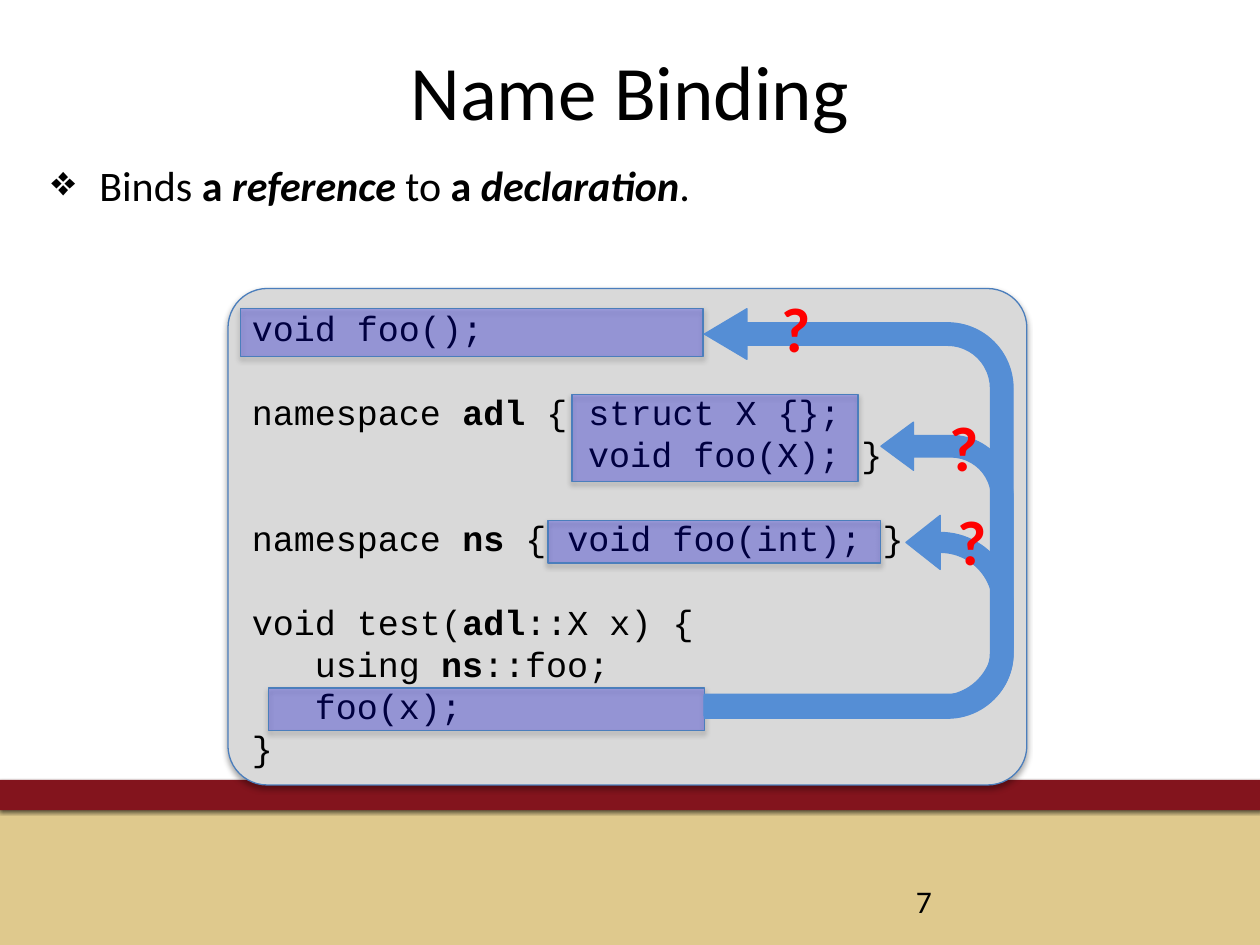
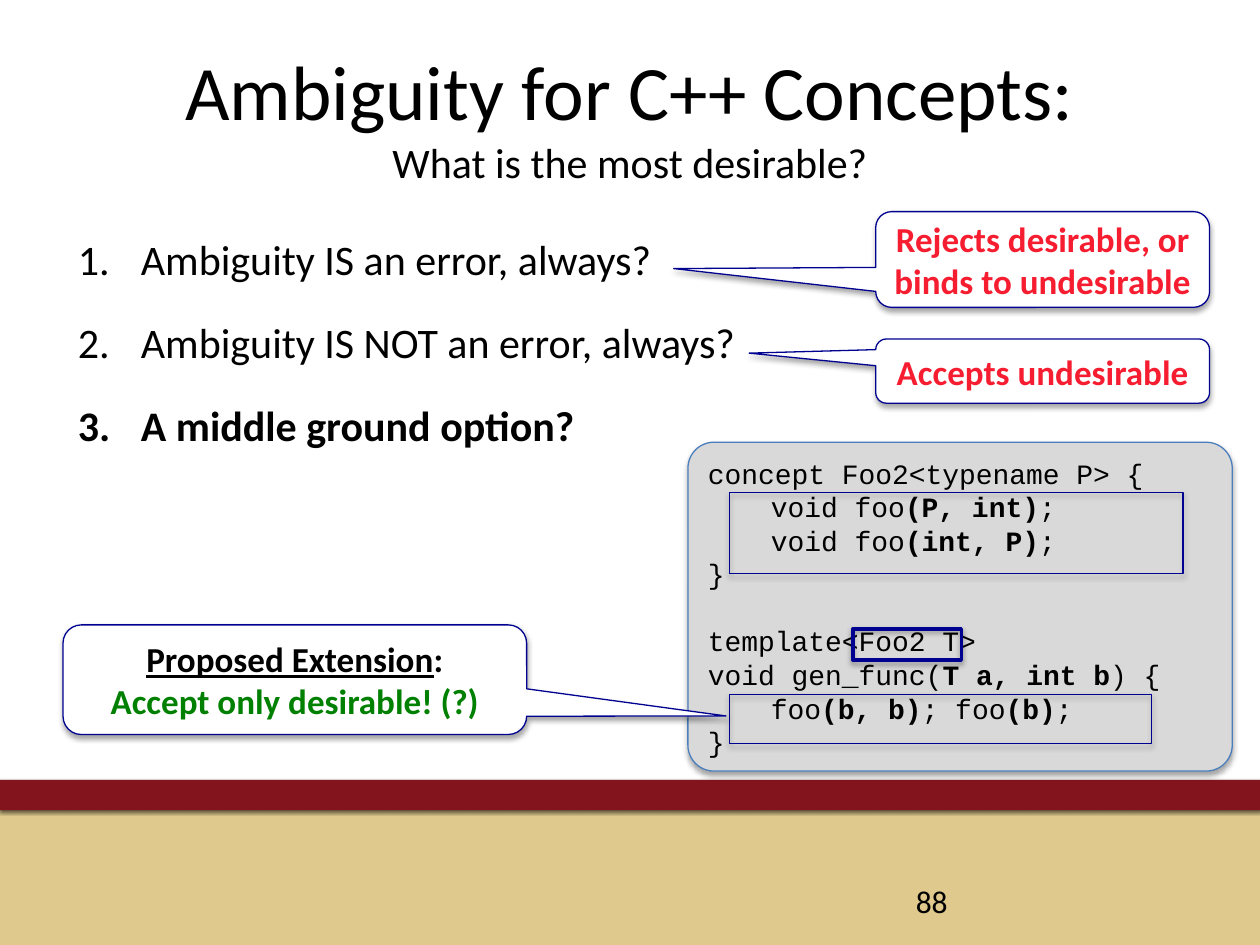
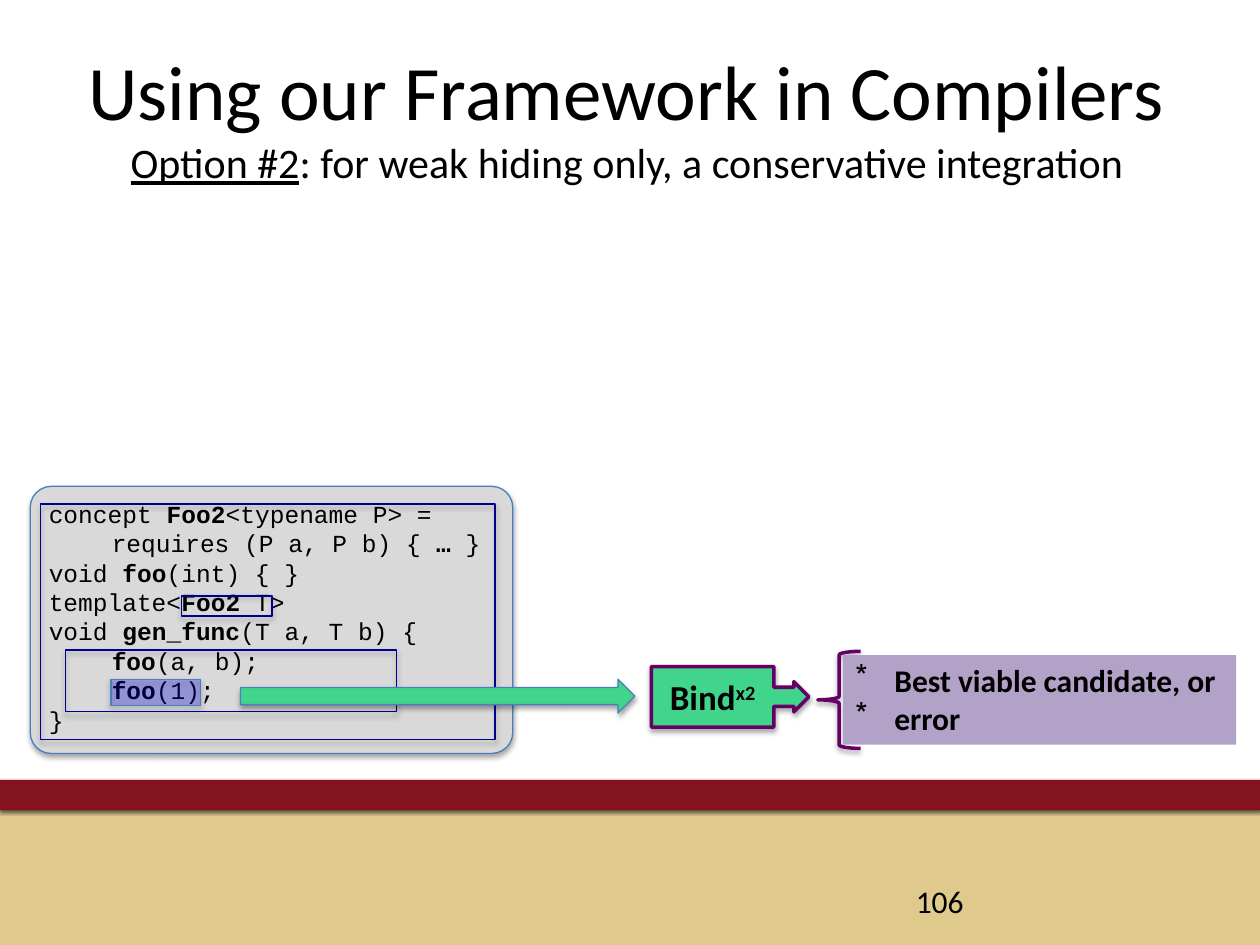
from lxml.etree import SubElement
from pptx import Presentation
from pptx.dml.color import RGBColor
from pptx.enum.shapes import MSO_SHAPE
from pptx.enum.text import MSO_ANCHOR, PP_ALIGN
from pptx.oxml.ns import qn
from pptx.util import Pt

EMU_PER_PX = 9144
COLORS = {
    "black": "000000", "white": "FFFFFF", "sand": "DFC98D", "maroon": "83141D",
    "panel": "D9D9D9", "panel_edge": "4B7EBC", "highlight": "0000FF",
    "arrow": "558ED5", "question": "FF0000", "navy": "000090",
    "warning": "F61D31", "approval": "008000", "bind": "40D58B",
    "plum": "660066", "lilac": "B3A2C7",
}
SOFT_SHADOW = (35, 3.1, 1.8, 90)
BAND_SHADOW = (60, 2, 1, 105)


def px(length):
    return round(length * EMU_PER_PX)


def rgb(color):
    return RGBColor.from_string(COLORS[color])


def add_run(paragraph, text, size=24, font="Calibri", color="black", bold=False,
            italic=False, underline=False, raised=False):
    run = paragraph.add_run()
    run.text = text
    run.font.size = Pt(size)
    run.font.name = font
    run.font.color.rgb = rgb(color)
    run.font.bold = bold
    run.font.italic = italic
    run.font.underline = underline
    if raised:
        run.font._element.set("baseline", "30000")


def add_bullet(paragraph, bullet, indent):
    props = paragraph._p.get_or_add_pPr()
    props.set("marL", str(px(indent)))
    props.set("indent", str(-px(indent)))
    if bullet == "1.":
        SubElement(props, qn("a:buAutoNum"), type="arabicPeriod")
    else:
        SubElement(props, qn("a:buChar"), char=bullet)


def add_tab(paragraph, position):
    tabs = SubElement(paragraph._p.get_or_add_pPr(), qn("a:tabLst"))
    SubElement(tabs, qn("a:tab"), pos=str(px(position)), algn="l")


def write(shape, lines, align=PP_ALIGN.LEFT, anchor=MSO_ANCHOR.TOP, bullet=None,
          indent=0, tab=0, leading=None, gap=0, **style):
    frame = shape.text_frame
    frame.word_wrap = True
    frame.vertical_anchor = anchor
    paragraph, space = None, 0
    for pieces in lines:
        if not pieces:
            space = leading
            continue
        paragraph = frame.add_paragraph() if paragraph else frame.paragraphs[0]
        if bullet:
            add_bullet(paragraph, bullet, indent)
        if tab:
            add_tab(paragraph, tab)
        paragraph.alignment = align
        if leading:
            paragraph.line_spacing = Pt(leading)
        paragraph.space_before = Pt(space)
        space = gap
        for text, override in pieces:
            add_run(paragraph, text, **{**style, **override})


def plain(text, **override):
    return [(text, override)]


def code_line(line):
    parts = enumerate(line.split("**"))
    return [(part, {"bold": index % 2 == 1}) for index, part in parts if part]


class Deck:
    def __init__(self):
        self.presentation = Presentation()
        self.presentation.slide_width = px(1000)
        self.presentation.slide_height = px(750)
        self.slide = None

    def shape(self, kind, box, fill=None, line=None, weight=0.75, shadow=None,
              alpha=None, adjust=()):
        shape = self.slide.shapes.add_shape(kind, *map(px, box))
        for index, value in enumerate(adjust):
            shape.adjustments[index] = value
        if fill:
            shape.fill.solid()
            shape.fill.fore_color.rgb = rgb(fill)
        else:
            shape.fill.background()
        if line:
            shape.line.color.rgb = rgb(line)
            shape.line.width = Pt(weight)
        else:
            shape.line.fill.background()
        shape.shadow.inherit = False
        props = shape._element.spPr
        if alpha:
            solid = props.find(qn("a:solidFill"))
            SubElement(solid[0], qn("a:alpha"), val=str(alpha * 1000))
        if shadow:
            opacity, blur, distance, angle = shadow
            outer = SubElement(
                props.find(qn("a:effectLst")), qn("a:outerShdw"),
                blurRad=str(Pt(blur)), dist=str(Pt(distance)),
                dir=str(angle * 60000), rotWithShape="0")
            tint = SubElement(outer, qn("a:srgbClr"), val=COLORS["black"])
            SubElement(tint, qn("a:alpha"), val=str(opacity * 1000))
        return shape

    def text(self, box, lines, **style):
        write(self.slide.shapes.add_textbox(*map(px, box)), lines, **style)

    def start(self, title, number, subtitle=None, box=(50, 30, 900, 125)):
        layout = self.presentation.slide_layouts[6]
        self.slide = self.presentation.slides.add_slide(layout)
        self.shape(MSO_SHAPE.RECTANGLE, (0, 643, 1000, 107), "sand")
        self.shape(MSO_SHAPE.RECTANGLE, (0, 619, 1001, 24), "maroon", shadow=BAND_SHADOW)
        self.text(box, [plain(title, size=44), subtitle], align=PP_ALIGN.CENTER)
        self.text((717, 695, 233, 40), [plain(number)], size=18,
                  anchor=MSO_ANCHOR.MIDDLE)

    def code(self, box, source, size):
        panel = self.shape(MSO_SHAPE.ROUNDED_RECTANGLE, box, "panel", "panel_edge",
                           shadow=SOFT_SHADOW, adjust=[0.079])
        write(panel, [code_line(line) for line in source.splitlines()],
              size=size, font="Courier New", tab=50, leading=size * 1.2)

    def highlight(self, *box):
        self.shape(MSO_SHAPE.RECTANGLE, box, "highlight", "panel_edge",
                   shadow=SOFT_SHADOW, alpha=25)

    def outline(self, *box, weight=0.75):
        self.shape(MSO_SHAPE.RECTANGLE, box, line="navy", weight=weight,
                   shadow=SOFT_SHADOW)

    def return_arrow(self, box, adjust):
        arrow = self.shape(MSO_SHAPE.U_TURN_ARROW, box, "arrow", "arrow", adjust=adjust)
        arrow.rotation = 90
        arrow._element.spPr.find(qn("a:xfrm")).set("flipH", "1")

    def callout(self, box, pointer, lines, **style):
        bubble = self.shape(MSO_SHAPE.ROUNDED_RECTANGULAR_CALLOUT, box, "white", "navy",
                            shadow=SOFT_SHADOW, adjust=[*pointer, 0.167])
        write(bubble, lines, align=PP_ALIGN.CENTER, anchor=MSO_ANCHOR.MIDDLE,
              size=20, bold=True, **style)


NAME_BINDING_CODE = """void foo();

namespace **adl** { struct X {};
                void foo(X); }

namespace **ns** { void foo(int); }

void test(**adl**::X x) {
\tusing **ns**::foo;
\tfoo(x);
}"""

AMBIGUITY_CODE = """concept Foo2<typename P> {
\tvoid foo**(P, int)**;
\tvoid foo**(int, P)**;
}

template<Foo2 T>
void gen_func(**T a, int b**) {
\tfoo**(b, b)**; foo**(b)**;
}"""

FRAMEWORK_CODE = """concept **Foo2**<typename P> =
\trequires (P a, P b) { **…** }
void **foo**(int) { }
template<**Foo2 **T>
void **gen_func**(T a, T b) {
\t**foo**(a, b);
\t**foo**(1);
}"""


def name_binding(deck):
    deck.start("Name Binding", "7")
    strong = {"bold": True}
    term = {"bold": True, "italic": True}
    deck.text((31, 122, 937, 60),
              [[("Binds ", {}), ("a ", strong), ("reference ", term), ("to ", {}),
                ("a ", strong), ("declaration", term), (".", {})]],
              bullet="❖", indent=38)
    deck.code((181, 229, 634, 394), NAME_BINDING_CODE, 20)
    deck.highlight(191, 245, 367, 38)
    deck.highlight(213, 546, 346, 34)
    deck.highlight(435, 413, 264, 34)
    deck.return_arrow((565, 329, 233, 245), [0.073, 0.082, 0.111, 0.212, 0.428])
    deck.highlight(454, 313, 227, 69)
    deck.return_arrow((602, 366, 159, 245), [0.099, 0.135, 0.171, 0.438, 0.347])
    deck.return_arrow((519, 285, 325, 245), [0.073, 0.082, 0.138, 0.212, 1])
    for left, top in ((610, 225), (750, 394), (744, 319)):
        deck.text((left, top, 52, 71), [plain("?")], size=36, color="question", bold=True)


def ambiguity(deck):
    deck.start("Ambiguity for C++ Concepts:", "88", plain("What is the most desirable?"))
    deck.text((52, 180, 898, 419),
              [plain("Ambiguity IS an error, always?"),
               plain("Ambiguity IS NOT an error, always?"),
               plain("A middle ground option?", bold=True)],
              bullet="1.", indent=50, gap=18.7)
    deck.callout((695, 168, 265, 76), (-1.105, 0.095),
                 [plain("Rejects desirable, or binds to undesirable")], color="warning")
    deck.callout((695, 269, 265, 51), (-0.879, -0.279),
                 [plain("Accepts undesirable")], color="warning")
    deck.code((546, 351, 432, 261), AMBIGUITY_CODE, 16)
    deck.outline(677, 499, 86, 25, weight=2)
    deck.outline(579, 551, 335, 39)
    deck.outline(579, 391, 360, 64)
    deck.callout((50, 496, 368, 87), (0.93, 0.331),
                 [[("Proposed Extension", {"underline": True}), (":", {})],
                  plain("Accept only desirable! (?)", color="approval")])


def framework(deck):
    deck.start("Using our Framework in Compilers", "106",
               [("Option #2", {"underline": True}),
                (": for weak hiding only, a conservative integration", {})],
               box=(28, 30, 939, 125))
    bind = deck.shape(MSO_SHAPE.RIGHT_ARROW_CALLOUT, (517, 529, 125, 48), "bind", "plum",
                      weight=2, shadow=SOFT_SHADOW, adjust=[0.315, 0.25, 0.25, 0.778])
    write(bind, [[("Bind", {}), ("x2", {"raised": True})]], align=PP_ALIGN.CENTER,
          anchor=MSO_ANCHOR.MIDDLE, size=20, bold=True)
    deck.shape(MSO_SHAPE.LEFT_BRACE, (649, 517, 34, 77), line="plum", weight=2,
               shadow=SOFT_SHADOW)
    outcomes = deck.shape(MSO_SHAPE.RECTANGLE, (669, 520, 312, 71), "lilac")
    write(outcomes, [plain("Best viable candidate, or"), plain("error")],
          bullet="*", indent=31, size=18, bold=True)
    deck.code((24, 386, 383, 212), FRAMEWORK_CODE, 14)
    deck.highlight(88, 539, 71, 21)
    deck.outline(144, 473, 72, 16)
    deck.outline(52, 516, 263, 49)
    deck.outline(32, 400, 361, 187)
    deck.shape(MSO_SHAPE.RIGHT_ARROW, (191, 539, 313, 27), "bind", "panel_edge",
               shadow=SOFT_SHADOW)


def main():
    deck = Deck()
    for build in (name_binding, ambiguity, framework):
        build(deck)
    deck.presentation.save("out.pptx")


if __name__ == "__main__":
    main()
